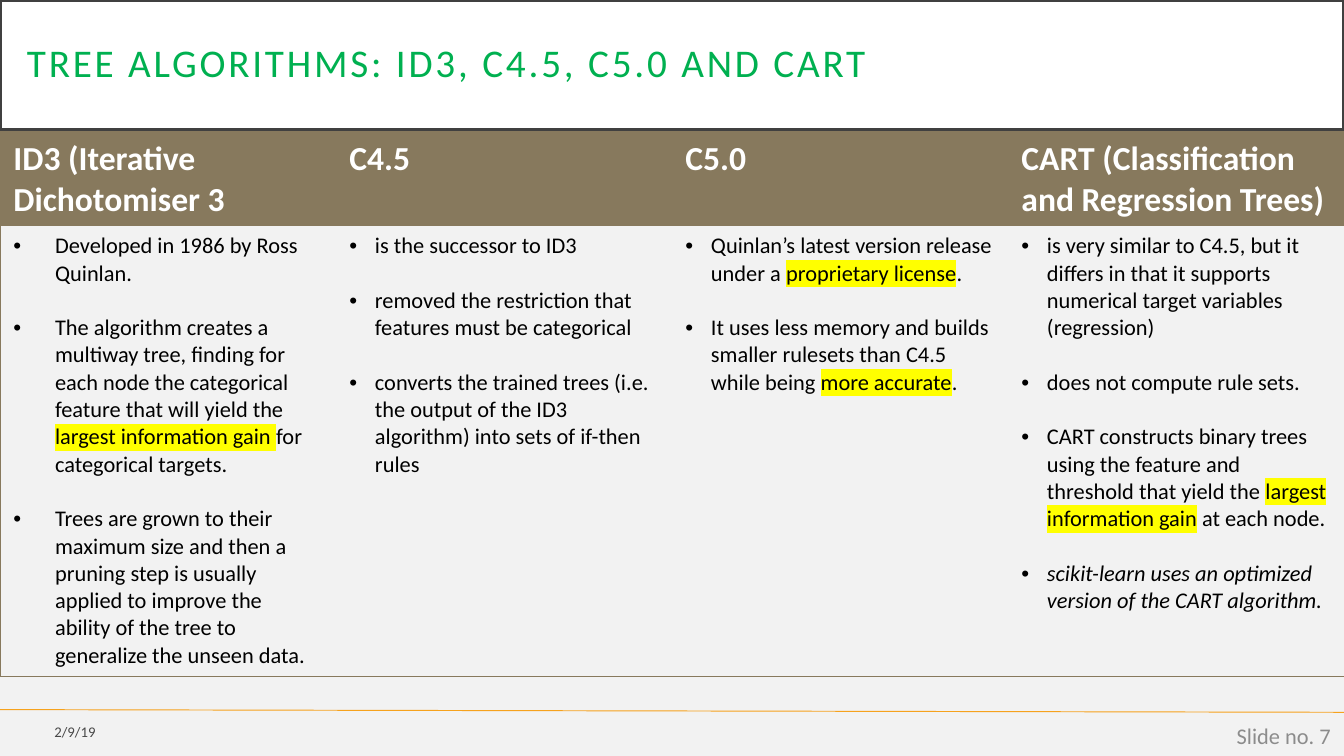
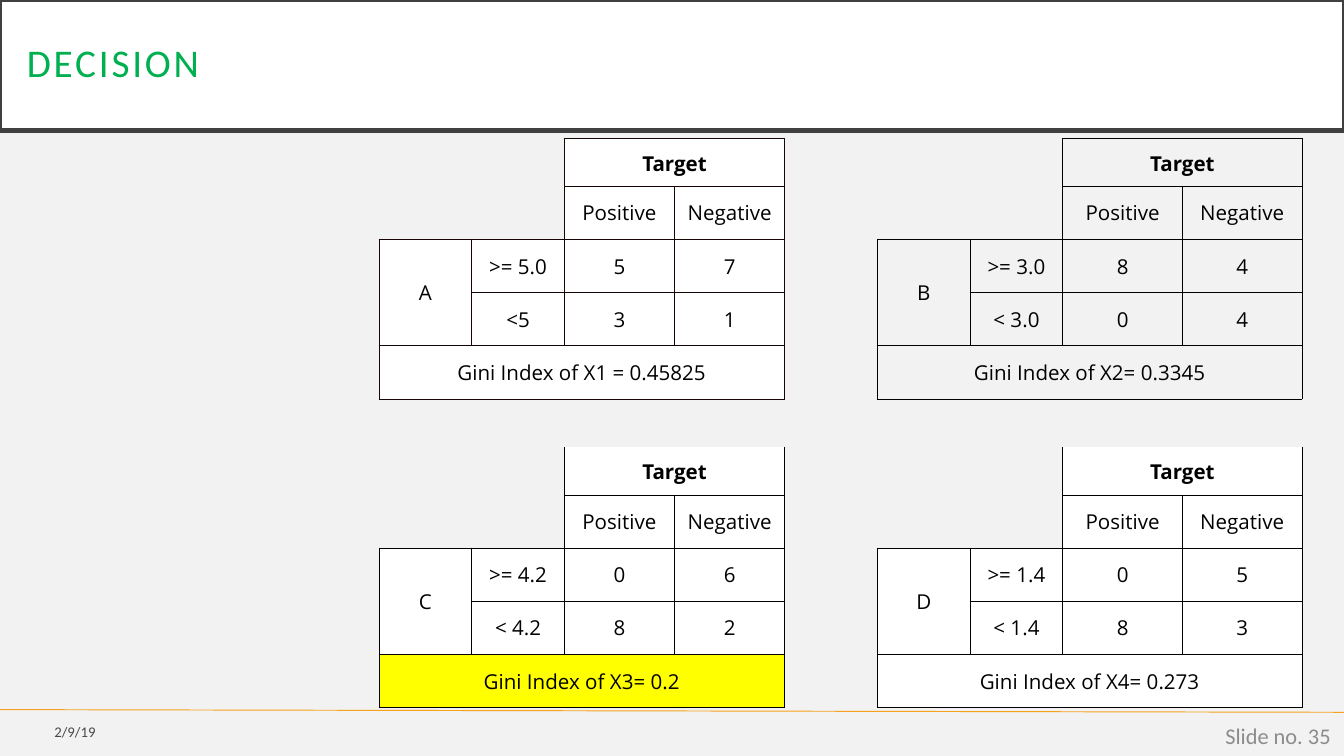
import lxml.etree
import pptx
import pptx.dml.color
import pptx.enum.shapes
import pptx.enum.text
import pptx.oxml.ns
import pptx.util

Inches = pptx.util.Inches
Pt = pptx.util.Pt
qn = pptx.oxml.ns.qn
ALIGN = pptx.enum.text.PP_ALIGN
MIDDLE = pptx.enum.text.MSO_ANCHOR.MIDDLE

# Shared look
BACK, WHITE, BLACK = "F2F2F2", "FFFFFF", "000000"
GREEN, FRAME, ORANGE = "00B050", "404040", "F6A21D"
BROWN, GRAY, YELLOW = "87795D", "8C8C8C", "FFFF00"
GRID = "170404"
NO_STYLE = "{2D5ABB26-0587-4C30-8999-92F81FD0307C}"
DATE = "2/9/19"

# Slide 1 content: heading, bullet indent, bullets made of (text, mark) runs
ALGORITHMS = [
    ("ID3 (Iterative Dichotomiser 3", 0.31, [
        [("Developed in 1986 by Ross Quinlan.", "")],
        [("The algorithm creates a multiway tree, finding for each node the "
          "categorical feature that will yield the ", ""),
         ("largest information gain ", "highlight"),
         ("for categorical targets.", "")],
        [("Trees are grown to their maximum size and then a pruning step is "
          "usually applied to improve the ability of the tree to generalize "
          "the unseen data.", "")],
    ]),
    ("C4.5", 0.19, [
        [("is the successor to ID3", "")],
        [("removed the restriction that features must be categorical", "")],
        [("converts the trained trees (i.e. the output of the ID3 algorithm) "
          "into sets of if-then rules", "")],
    ]),
    ("C5.0", 0.19, [
        [("Quinlan’s latest version release under a ", ""),
         ("proprietary license", "highlight"), (".", "")],
        [("It uses less memory and builds smaller rulesets than C4.5 while being ", ""),
         ("more accurate", "highlight"), (".", "")],
    ]),
    ("CART (Classification and Regression Trees)", 0.19, [
        [("is very similar to C4.5, but it differs in that it supports "
          "numerical target variables (regression)", "")],
        [("does not compute rule sets.", "")],
        [("CART constructs binary trees using the feature and threshold that "
          "yield the ", ""),
         ("largest information gain", "highlight"), (" at each node.", "")],
        [("scikit-learn uses an optimized version of the CART algorithm.", "italic")],
    ]),
]

# Slide 2 content: one split per block, placed by its first row and column
SPLITS = [
    dict(at=(0, 0), name="A", gini="Gini Index of X1 = 0.45825", fill=WHITE,
         gini_fill=WHITE, rows=[(">= 5.0", "5", "7"), ("<5", "3", "1")]),
    dict(at=(0, 5), name="B", gini="Gini Index of X2= 0.3345", fill=None,
         gini_fill=None, rows=[(">= 3.0", "8", "4"), ("< 3.0", "0", "4")]),
    dict(at=(6, 0), name="C", gini="Gini Index of X3= 0.2", fill=WHITE,
         gini_fill=YELLOW, rows=[(">= 4.2", "0", "6"), ("< 4.2", "8", "2")]),
    dict(at=(6, 5), name="D", gini="Gini Index of X4= 0.273", fill=WHITE,
         gini_fill=WHITE, rows=[(">= 1.4", "0", "5"), ("< 1.4", "8", "3")]),
]
SPLIT_COLS = [0.69, 0.69, 0.82, 0.82, 0.69, 0.69, 0.69, 0.89, 0.89]
HEAD_ROW, VALUE_ROW = Pt(25.7), Pt(28.5)
BLOCK_ROWS = [HEAD_ROW] + [VALUE_ROW] * 4
SPLIT_ROWS = BLOCK_ROWS + [HEAD_ROW] + BLOCK_ROWS


def rgb(color):
    return pptx.dml.color.RGBColor.from_string(color)


def set_all(obj, values):
    for name, value in values.items():
        setattr(obj, name, value)


def add_run(p, text, size, color, font="Calibri", **styles):
    r = p.add_run()
    r.text = text
    set_all(r.font, dict(size=Pt(size), name=font, **styles))
    r.font.color.rgb = rgb(color)
    return r


def set_fill(obj, color):
    if color:
        obj.fill.solid()
        obj.fill.fore_color.rgb = rgb(color)
    else:
        obj.fill.background()


def set_cell(cell, fill=None, sides="", line=BLACK):
    """Draw the named sides (L, R, T, B) and then the fill."""
    tcPr = cell._tc.get_or_add_tcPr()
    for side in "LRTB":
        if side in sides:
            ln = lxml.etree.SubElement(tcPr, qn(f"a:ln{side}"), w=str(Pt(0.5)))
            solid = lxml.etree.SubElement(ln, qn("a:solidFill"))
            lxml.etree.SubElement(solid, qn("a:srgbClr"), val=line)
    set_fill(cell, fill)


def set_margins(cell, left, top, right, bottom):
    set_all(cell, dict(margin_left=Inches(left), margin_top=Inches(top),
                       margin_right=Inches(right), margin_bottom=Inches(bottom)))


def add_grid(s, left, top, cols, rows):
    frame = s.shapes.add_table(len(rows), len(cols), Inches(left), Inches(top),
                               Inches(sum(cols)), sum(rows))
    table = frame.table
    set_all(table, dict(first_row=False, horz_banding=False))
    table._tbl.tblPr.find(qn("a:tableStyleId")).text = NO_STYLE
    for col, width in zip(table.columns, cols):
        col.width = Inches(width)
    for row, height in zip(table.rows, rows):
        row.height = height
    return table


def add_footer(s, left, top, width, height, text, size, color):
    sp = s.shapes.add_textbox(Inches(left), Inches(top), Inches(width), Inches(height))
    set_all(sp.text_frame, dict(word_wrap=True, vertical_anchor=MIDDLE))
    p = sp.text_frame.paragraphs[0]
    p.alignment = ALIGN.RIGHT
    return add_run(p, text, size, color)


def add_slide(prs, title, number):
    s = prs.slides.add_slide(prs.slide_layouts[5])

    # Footer rule
    rule = s.shapes.add_connector(pptx.enum.shapes.MSO_CONNECTOR.STRAIGHT,
                                  0, Inches(5.28), Inches(10), Inches(5.3))
    rule.line.color.rgb = rgb(ORANGE)
    rule.line.width = Pt(0.5)
    lxml.etree.SubElement(rule._element.spPr, qn("a:effectLst"))

    # Title band
    sp = s.shapes.title
    set_all(sp, dict(left=0, top=0, width=Inches(10), height=Inches(0.97)))
    set_fill(sp, WHITE)
    sp.line.color.rgb = rgb(FRAME)
    sp.line.width = Pt(2.5)
    tf = sp.text_frame
    set_margins(tf, 0.2, 0.2, 0.2, 0.2)
    set_all(tf, dict(vertical_anchor=MIDDLE, word_wrap=True,
                     auto_size=pptx.enum.text.MSO_AUTO_SIZE.NONE))
    p = tf.paragraphs[0]
    set_all(p, dict(alignment=ALIGN.LEFT, line_spacing=0.9))
    r = add_run(p, title, 21, GREEN)
    r._r.get_or_add_rPr().set("spc", "150")

    # Date and slide number
    r = add_footer(s, 0, 5.31, 0.81, 0.27, DATE, 7.9, BLACK)
    clr = r._r.rPr.find(".//" + qn("a:srgbClr"))
    lxml.etree.SubElement(clr, qn("a:alpha"), val="70000")
    add_footer(s, 7.75, 5.32, 2.25, 0.3, f"Slide no. {number}", 12, GRAY)
    return s


def add_bullet(p, runs, indent, first):
    pPr = p._p.get_or_add_pPr()
    pPr.set("marL", str(Inches(indent)))
    pPr.set("indent", str(-Inches(indent)))
    lxml.etree.SubElement(pPr, qn("a:buFont"), typeface="Arial")
    lxml.etree.SubElement(pPr, qn("a:buChar"), char="•")
    if not first:
        p.space_before = Pt(14.6)
    for text, mark in runs:
        r = add_run(p, text, 12, BLACK, italic=mark == "italic")
        if mark == "highlight":
            hl = lxml.etree.Element(qn("a:highlight"))
            lxml.etree.SubElement(hl, qn("a:srgbClr"), val=YELLOW)
            r._r.rPr.find(qn("a:latin")).addprevious(hl)


def add_algorithms(s):
    count = len(ALGORITHMS)
    table = add_grid(s, 0, 0.98, [10 / count] * count, [Inches(0.7), Inches(3.35)])
    for i, (heading, indent, bullets) in enumerate(ALGORITHMS):
        edge = "L" if i == 0 else "R" if i == count - 1 else ""
        head, body = table.cell(0, i), table.cell(1, i)
        set_cell(head, BROWN, edge + "T", BROWN)
        add_run(head.text_frame.paragraphs[0], heading, 18, WHITE, bold=True)
        set_cell(body, None, edge + "TB", BROWN)
        tf = body.text_frame
        for j, runs in enumerate(bullets):
            p = tf.add_paragraph() if j else tf.paragraphs[0]
            add_bullet(p, runs, indent, j == 0)


def split_cells(split):
    """Yield row, column, row span, column span, text and fill in a block."""
    fill = split["fill"]
    yield 0, 2, 1, 2, "Target", fill
    yield 1, 2, 1, 1, "Positive", fill
    yield 1, 3, 1, 1, "Negative", fill
    yield 2, 0, 2, 1, split["name"], fill
    for i, values in enumerate(split["rows"]):
        for j, text in enumerate(values):
            yield 2 + i, 1 + j, 1, 1, text, fill
    yield 4, 0, 1, 4, split["gini"], split["gini_fill"]


def add_splits(s):
    table = add_grid(s, 2.82, 1.03, SPLIT_COLS, SPLIT_ROWS)
    for cell in table.iter_cells():
        set_margins(cell, 0, 0, 0, 0)
    used = set()
    for split in SPLITS:
        top, left = split["at"]
        line = GRID if split["at"] == (0, 0) else BLACK
        for row, col, high, wide, text, fill in split_cells(split):
            heading = row == 0
            sides = "LRB" if heading and top else "LRTB"
            for y in range(top + row, top + row + high):
                for x in range(left + col, left + col + wide):
                    set_cell(table.cell(y, x), fill, sides, line)
                    used.add((y, x))
            cell = table.cell(top + row, left + col)
            if high * wide > 1:
                cell.merge(table.cell(top + row + high - 1, left + col + wide - 1))
            cell.vertical_anchor = MIDDLE
            pad = (0.01, 0.01, 0.01, 0) if heading else (0.01, 0.09, 0.01, 0.09)
            set_margins(cell, *pad)
            p = cell.text_frame.paragraphs[0]
            p.alignment = ALIGN.CENTER
            add_run(p, text, 11, BLACK, "Open Sans", bold=heading)
    for y in range(len(SPLIT_ROWS)):
        for x in range(len(SPLIT_COLS)):
            if (y, x) not in used:
                set_cell(table.cell(y, x))


def main():
    prs = pptx.Presentation()
    # Widescreen, 16 by 9
    set_all(prs, dict(slide_width=Inches(10), slide_height=Inches(10) * 9 // 16))
    set_fill(prs.slide_master.background, BACK)
    add_algorithms(add_slide(prs, "TREE ALGORITHMS: ID3, C4.5, C5.0 AND CART", 7))
    add_splits(add_slide(prs, "DECISION", 35))
    prs.save("out.pptx")


if __name__ == "__main__":
    main()
